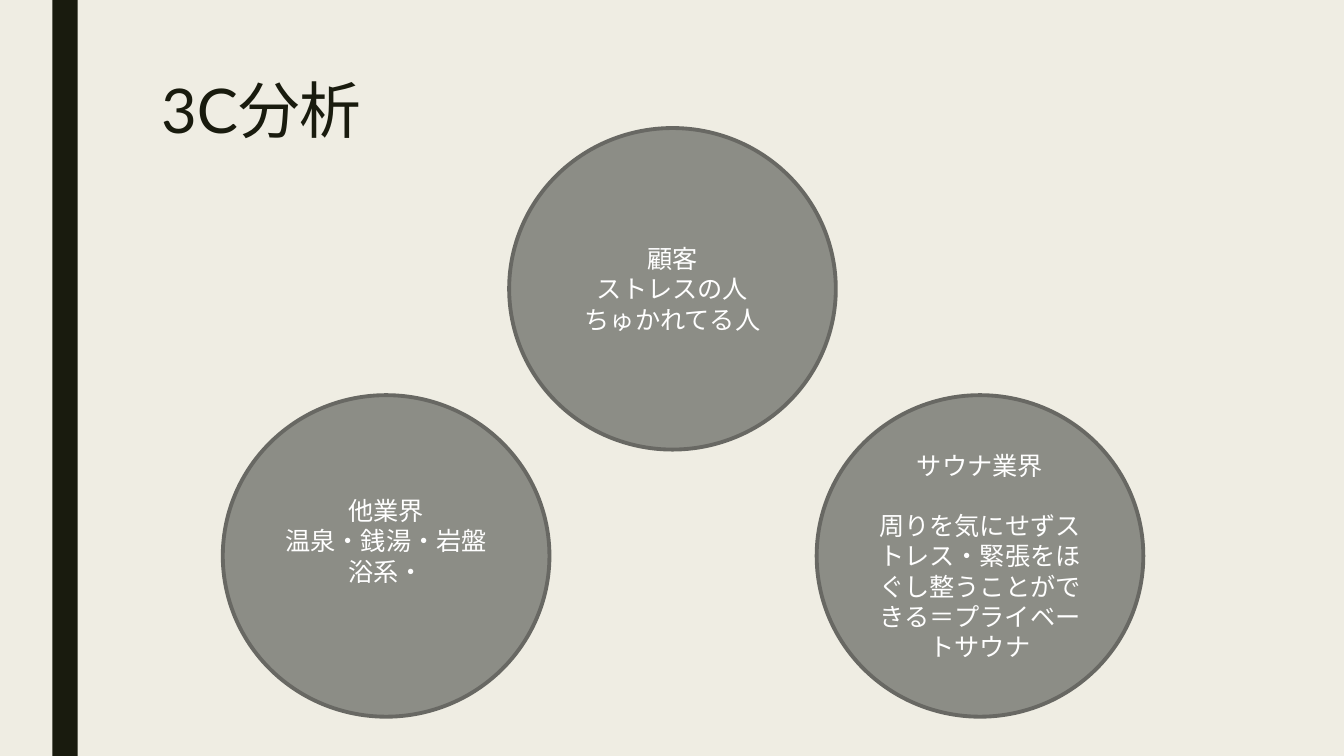
from lxml import etree
from pptx import Presentation
from pptx import util as u
from pptx.dml.color import RGBColor
from pptx.enum import lang, shapes, text
from pptx.oxml.ns import qn

COLORS = {
    "paper": "EFEDE3",
    "ink": "191B0E",
    "circle": "8C8D86",
    "outline": "686863",
    "white": "FFFFFF",
}
FONT = "Lato"
BODY_SIZE = 18
BLANK_LINE = 21.6
CIRCLE_WIDTH, CIRCLE_HEIGHT = 3.24, 3.19
LOWER_TOP = 3.92


class SlideBuilder:
    def __init__(self, deck):
        self.slide = deck.slides.add_slide(deck.slide_layouts[6])
        self.paint(self.slide.background.fill, "paper")

    def paint(self, fill, color):
        fill.solid()
        fill.fore_color.rgb = RGBColor.from_string(COLORS[color])

    def run(self, paragraph, words, size, color):
        run = paragraph.add_run()
        run.text = words
        run.font.size = u.Pt(size)
        run.font.name = FONT
        run.font.language_id = lang.MSO_LANGUAGE_ID.JAPANESE
        self.paint(run.font.fill, color)
        east_asian = etree.SubElement(run.font._element, qn("a:ea"))
        east_asian.set("typeface", FONT)

    def shape(self, kind, left, top, width, height, color):
        shape = self.slide.shapes.add_shape(
            kind, u.Inches(left), u.Inches(top), u.Inches(width), u.Inches(height)
        )
        shape.shadow.inherit = False
        self.paint(shape.fill, color)
        return shape

    def side_bar(self):
        bar = self.shape(shapes.MSO_SHAPE.RECTANGLE, 0.52, 0, 0.25, 7.5, "ink")
        bar.line.fill.background()

    def title(self, words):
        heading = self.slide.shapes.add_textbox(
            u.Inches(1.5), u.Inches(0.75), u.Inches(10.5), u.Inches(1.62)
        )
        frame = heading.text_frame
        frame.word_wrap = True
        frame.vertical_anchor = text.MSO_ANCHOR.TOP
        frame.paragraphs[0].line_spacing = 0.89
        self.run(frame.paragraphs[0], words, 44, "ink")

    def circle(self, left, top, lines, heading_gap=0, bottom_inset=0.05):
        circle = self.shape(
            shapes.MSO_SHAPE.OVAL, left, top, CIRCLE_WIDTH, CIRCLE_HEIGHT, "circle"
        )
        self.paint(circle.line.fill, "outline")
        circle.line.width = u.Pt(2.75)
        frame = circle.text_frame
        frame.word_wrap = True
        frame.vertical_anchor = text.MSO_ANCHOR.MIDDLE
        frame.margin_bottom = u.Inches(bottom_inset)
        for index, words in enumerate(lines):
            paragraph = frame.add_paragraph() if index else frame.paragraphs[0]
            paragraph.alignment = text.PP_ALIGN.CENTER
            self.run(paragraph, words, BODY_SIZE, "white")
        frame.paragraphs[0].space_after = u.Pt(heading_gap)


def main():
    deck = Presentation()
    deck.slide_width, deck.slide_height = u.Inches(13.33), u.Inches(7.5)
    analysis = SlideBuilder(deck)
    analysis.side_bar()
    analysis.title("3C分析")
    analysis.circle(5.05, 1.27, ["顧客", "ストレスの人", "ちゅかれてる人"])
    analysis.circle(
        8.1,
        LOWER_TOP,
        ["サウナ業界", "周りを気にせずストレス・緊張をほぐし整うことができる＝プライベートサウナ"],
        heading_gap=BLANK_LINE,
    )
    analysis.circle(
        2.21, LOWER_TOP, ["他業界", "温泉・銭湯・岩盤浴系・"], bottom_inset=0.35
    )
    deck.save("out.pptx")


if __name__ == "__main__":
    main()
